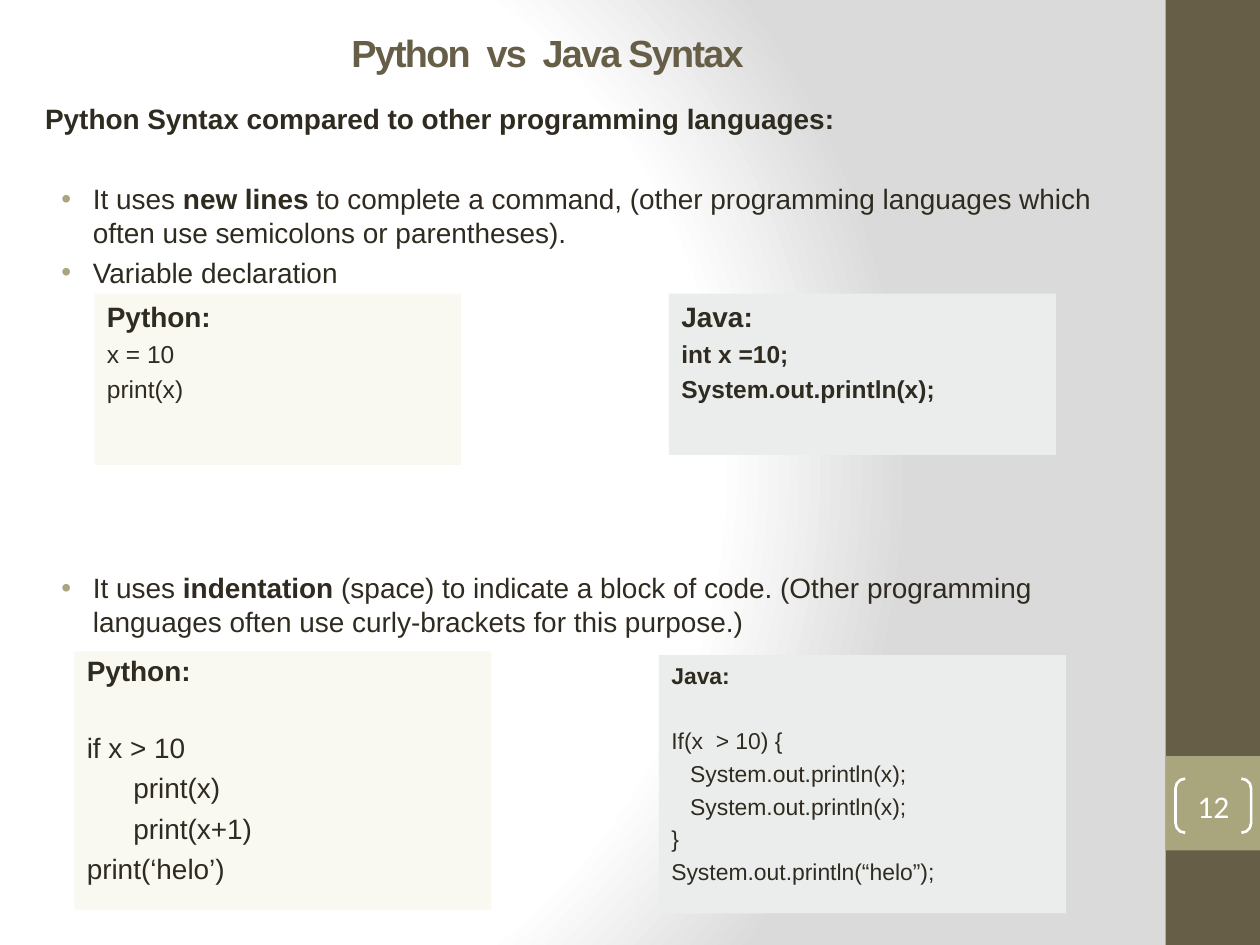
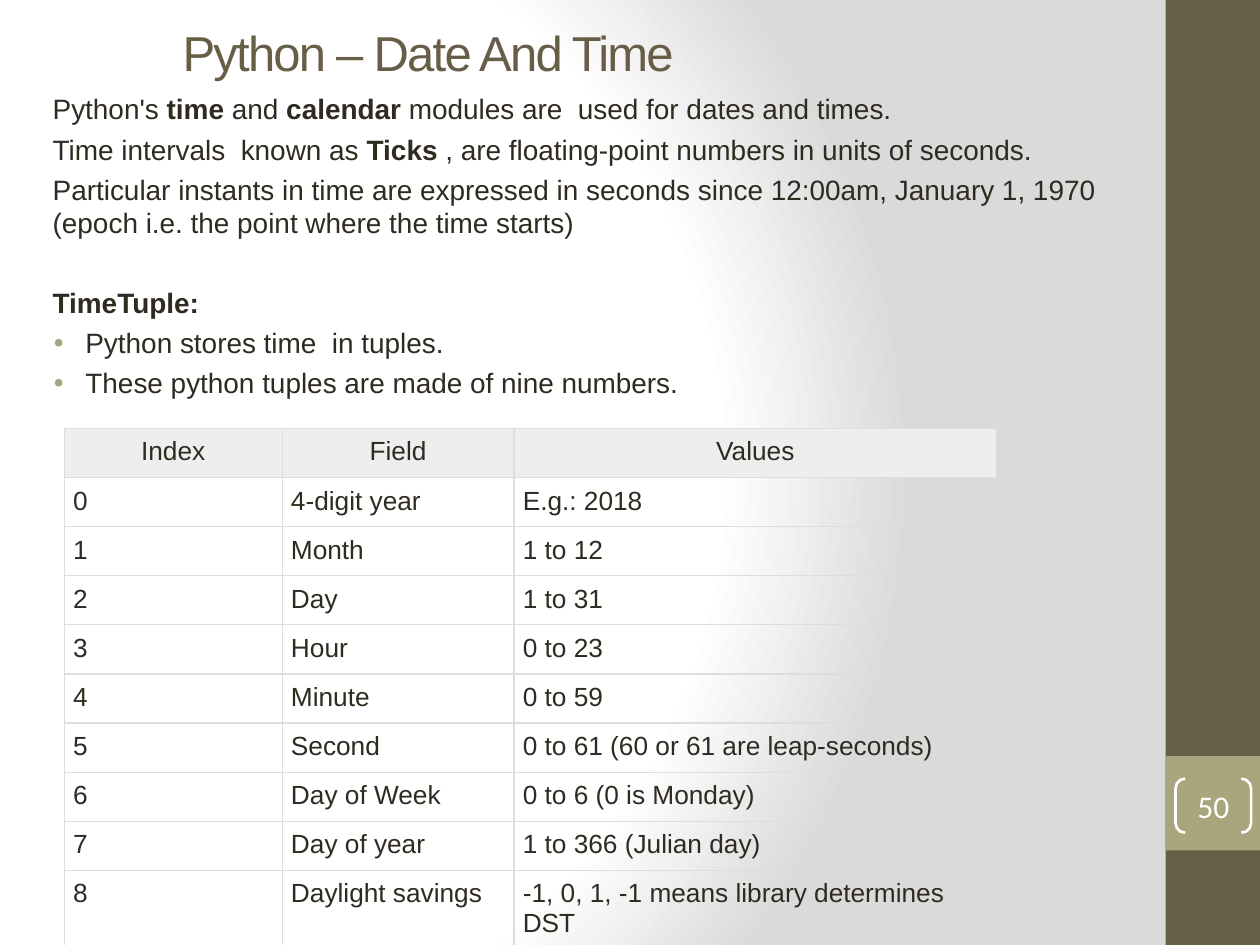
from pptx import Presentation
from pptx.dml.color import RGBColor
from pptx.enum.shapes import MSO_SHAPE
from pptx.enum.text import MSO_ANCHOR, PP_ALIGN
from pptx.oxml import parse_xml
from pptx.oxml.ns import nsdecls
from pptx.util import Inches, Pt

COLORS = {
    "brown": "675E47", "olive": "A9A57C", "ink": "2F2B20", "white": "FFFFFF",
    "gray": "DADADA", "cream": "F9F8F1", "mist": "EAEDEB",
    "header": "EEEEEE", "border": "DDDDDD",
}
FONT = "Arial"
COLUMNS, ROWS = 100, 75
SLIDE_W, SLIDE_H = Inches(10), Inches(7.5)
PARA_GAP = 0.235
BULLET = dict(left=0.38, hang=-0.25, bullet=True)
INSET = dict(left=0.12)
BLANK_LINE = 26.4

SYNTAX = {
    "title": ("Python  vs  Java Syntax", 21.6, True, 26.9),
    "number": "12",
    "body_at": (2.6, 7.6, 90, 66.1),
    "body": [
        dict(runs=[("Python Syntax compared to other programming languages:", True)]),
        dict(runs=[("It uses ", False), ("new lines ", True),
                   ("to complete a command, (other programming languages which often "
                    "use semicolons or parentheses).", False)],
             before=BLANK_LINE, **BULLET),
        dict(runs=[("Variable declaration", False)], **BULLET),
        dict(runs=[("It uses ", False), ("indentation", True),
                   (" (space) to indicate a block of code. (Other programming languages "
                    "often use curly-brackets for this purpose.)", False)],
             before=161, **BULLET),
    ],
}
CODE_BOXES = [
    ((7.5, 23.3, 29.1, 13.6), "cream", [
        dict(runs=[("Python:", True)]),
        dict(runs=[("x = 10", False)], size=14),
        dict(runs=[("print(x)", False)], size=14),
    ]),
    ((53.1, 23.3, 30.7, 12.8), "mist", [
        dict(runs=[("Java:", True)]),
        dict(runs=[("int x =10;", True)], size=14),
        dict(runs=[("System.out.println(x);", True)], size=14),
    ]),
    ((5.9, 51.7, 33.1, 20.5), "cream", [
        dict(runs=[("Python:", True)], spacing=0.9),
        dict(runs=[("if x > 10", False)], before=24.5),
        dict(runs=[("print(x)", False)], left=0.37),
        dict(runs=[("print(x+1)", False)], left=0.37),
        dict(runs=[("print(‘helo’)", False)]),
    ]),
    ((52.3, 52, 32.3, 20.5), "mist", [
        dict(runs=[("Java:", True)], size=13.1),
        dict(runs=[("If(x  > 10) {", False)], size=13.1, before=21.5),
        dict(runs=[("System.out.println(x);", False)], size=13.1, left=0.15),
        dict(runs=[("System.out.println(x);", False)], size=13.1, left=0.15),
        dict(runs=[("}", False)], size=13.1),
        dict(runs=[("System.out.println(“helo”);", False)], size=13.1),
    ]),
]
DATES = {
    "title": ("Python – Date And Time", 28, False, 13.5),
    "number": "50",
    "body_at": (2, 6.8, 86.4, 66.1),
    "body": [
        dict(runs=[("Python's ", False), ("time", True), (" and ", False),
                   ("calendar", True),
                   (" modules are  used for dates and times.", False)], **INSET),
        dict(runs=[("Time intervals  known as ", False), ("Ticks", True),
                   (" , are floating-point numbers in units of seconds.", False)], **INSET),
        dict(runs=[("Particular instants in time are expressed in seconds since 12:00am, "
                    "January 1, 1970 (epoch i.e. the point where the time starts)",
                    False)], **INSET),
        dict(runs=[("TimeTuple:", True)], before=BLANK_LINE, **INSET),
        dict(runs=[("Python stores time\u00a0 in tuples.", False)], **BULLET),
        dict(runs=[("These python tuples are made of nine numbers.", False)], **BULLET),
    ],
}
TABLE_AT = (5.1, 34)
TABLE_COLUMNS = (17.3, 18.4, 38.3)
TABLE_ROW = 3.6
TIME_TUPLE = [
    ("Index", "Field", "Values"),
    ("0", "4-digit year", "E.g.: 2018"),
    ("1", "Month", "1 to 12"),
    ("2", "Day", "1 to 31"),
    ("3", "Hour", "0 to 23"),
    ("4", "Minute", "0 to 59"),
    ("5", "Second", "0 to 61 (60 or 61 are leap-seconds)"),
    ("6", "Day of Week", "0 to 6 (0 is Monday)"),
    ("7", "Day of year", "1 to 366 (Julian day)"),
    ("8", "Daylight savings", "-1, 0, 1, -1 means library determines DST"),
]


def rgb(name):
    return RGBColor.from_string(COLORS[name])


def across(columns):
    return round(SLIDE_W * columns / COLUMNS)


def down(rows):
    return round(SLIDE_H * rows / ROWS)


def place(left, top, width, height):
    return across(left), down(top), across(width), down(height)


def solid(color):
    return f'<a:solidFill><a:srgbClr val="{COLORS[color]}"/></a:solidFill>'


def add_run(p, text, size, bold=False, color="ink", font=FONT):
    r = p.add_run()
    r.text = text
    r.font.name, r.font.size, r.font.bold = font, Pt(size), bold
    r.font.color.rgb = rgb(color)
    return r


def write(tf, paragraphs):
    tf.word_wrap = True
    tf.vertical_anchor = MSO_ANCHOR.TOP
    for i, item in enumerate(paragraphs):
        p = tf.add_paragraph() if i else tf.paragraphs[0]
        size = item.get("size", 16)
        p.alignment = PP_ALIGN.LEFT
        p.space_before = Pt(item.get("before", size * PARA_GAP if i else 0))
        if "spacing" in item:
            p.line_spacing = item["spacing"]
        pPr = p._p.get_or_add_pPr()
        pPr.set("marL", str(Inches(item.get("left", 0))))
        pPr.set("indent", str(Inches(item.get("hang", 0))))
        if item.get("bullet"):
            for xml in (
                f'<a:buClr {nsdecls("a")}><a:srgbClr val="{COLORS["olive"]}"/></a:buClr>',
                f'<a:buFont {nsdecls("a")} typeface="{FONT}"/>',
                f'<a:buChar {nsdecls("a")} char="•"/>',
            ):
                pPr.append(parse_xml(xml))
        for text, bold in item["runs"]:
            add_run(p, text, size, bold)


def add_block(s, at, fill=None, shape=MSO_SHAPE.RECTANGLE):
    sp = s.shapes.add_shape(shape, *place(*at))
    sp.shadow.inherit = False
    sp.line.fill.background()
    if fill:
        sp.fill.solid()
        sp.fill.fore_color.rgb = rgb(fill)
    else:
        sp.fill.background()
    return sp


def add_background(s):
    stops = "".join(
        f'<a:gs pos="{pos}000"><a:srgbClr val="{COLORS[color]}"/></a:gs>'
        for pos, color in ((0, "white"), (75, "white"), (100, "gray")))
    s._element.cSld.insert(0, parse_xml(
        f'<p:bg {nsdecls("p", "a")}><p:bgPr><a:gradFill rotWithShape="1">'
        f'<a:gsLst>{stops}</a:gsLst><a:path path="circle">'
        '<a:fillToRect l="20000" t="50000" r="100000" b="50000"/></a:path>'
        '</a:gradFill><a:effectLst/></p:bgPr></p:bg>'))


def add_page(prs, page):
    s = prs.slides.add_slide(prs.slide_layouts[6])
    add_background(s)
    add_block(s, (92.5, 0, 7.5, 75), "brown")
    add_block(s, (92.5, 60, 7.5, 7.5), "olive")

    text, size, bold, left = page["title"]
    tf = s.shapes.add_textbox(*place(left, 1.4, 85 - left, 5.5)).text_frame
    tf.word_wrap = True
    tf.vertical_anchor = MSO_ANCHOR.MIDDLE
    r = add_run(tf.paragraphs[0], text, size, bold, "brown")
    r._r.get_or_add_rPr().set("spc", "-100")

    write(s.shapes.add_textbox(*place(*page["body_at"])).text_frame, page["body"])

    badge = add_block(s, (93.3, 61.8, 6, 4.3), shape=MSO_SHAPE.DOUBLE_BRACKET)
    badge.adjustments[0] = 0.179
    badge.line.color.rgb = rgb("white")
    badge.line.width = Pt(1.5)
    tf = badge.text_frame
    tf.margin_left = tf.margin_right = tf.margin_top = tf.margin_bottom = 0
    tf.vertical_anchor = MSO_ANCHOR.MIDDLE
    tf.paragraphs[0].alignment = PP_ALIGN.CENTER
    add_run(tf.paragraphs[0], page["number"], 18, color="white", font="Calibri")
    return s


def add_time_table(s):
    at = place(*TABLE_AT, sum(TABLE_COLUMNS), TABLE_ROW * len(TIME_TUPLE))
    table = s.shapes.add_table(len(TIME_TUPLE), len(TABLE_COLUMNS), *at).table
    table.first_row = table.horz_banding = False
    for column, width in zip(table.columns, TABLE_COLUMNS):
        column.width = across(width)
    for i, values in enumerate(TIME_TUPLE):
        table.rows[i].height = down(TABLE_ROW)
        for j, value in enumerate(values):
            cell = table.cell(i, j)
            cell.margin_left = cell.margin_right = Inches(0.07)
            cell.margin_top = cell.margin_bottom = Inches(0.07)
            p = cell.text_frame.paragraphs[0]
            p.alignment = PP_ALIGN.LEFT if i else PP_ALIGN.CENTER
            add_run(p, value, 15)
            if i:
                cell.fill.background()
            else:
                cell.fill.solid()
                cell.fill.fore_color.rgb = rgb("header")
            tcPr = cell._tc.get_or_add_tcPr()
            for k, side in enumerate("LRTB"):
                tcPr.insert(k, parse_xml(
                    f'<a:ln{side} {nsdecls("a")} w="{Pt(0.75)}">'
                    f'{solid("border")}</a:ln{side}>'))


prs = Presentation()
prs.slide_width, prs.slide_height = SLIDE_W, SLIDE_H

syntax = add_page(prs, SYNTAX)
for at, fill, code in CODE_BOXES:
    write(add_block(syntax, at, fill).text_frame, code)

add_time_table(add_page(prs, DATES))

prs.save("out.pptx")
